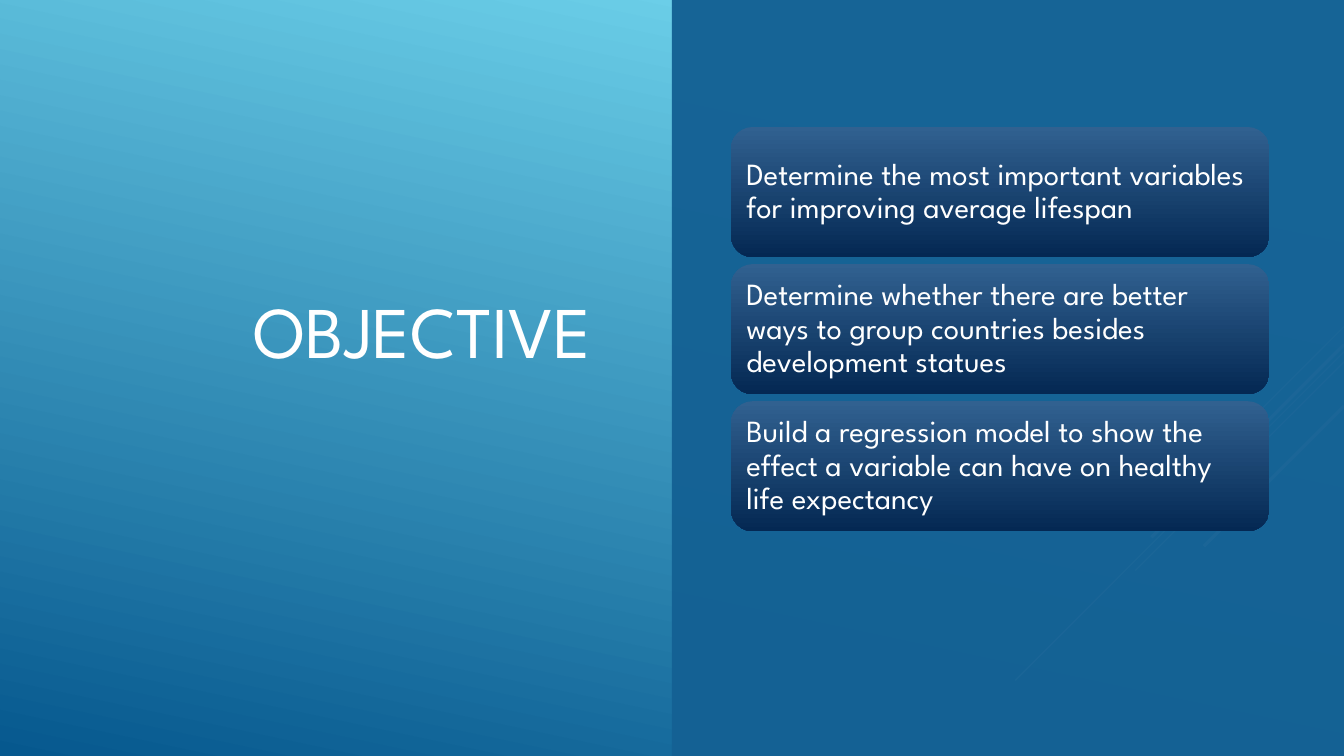
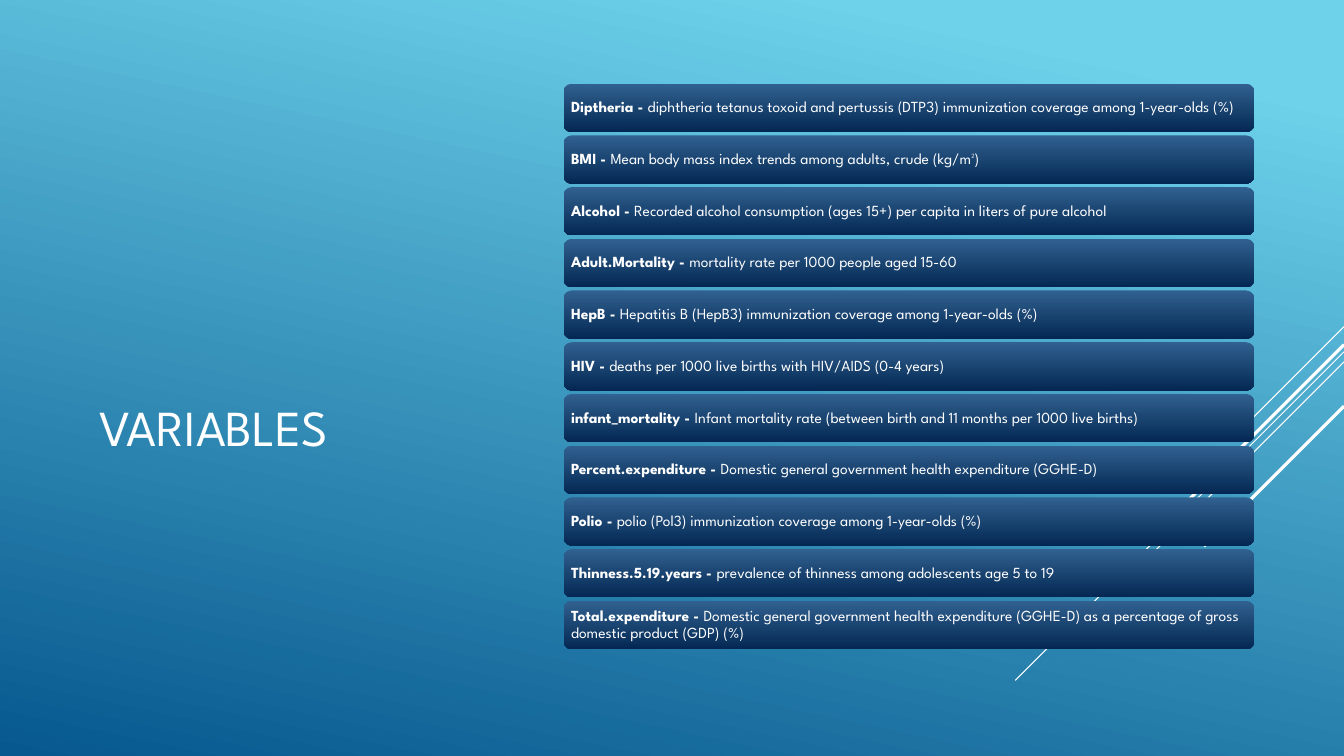
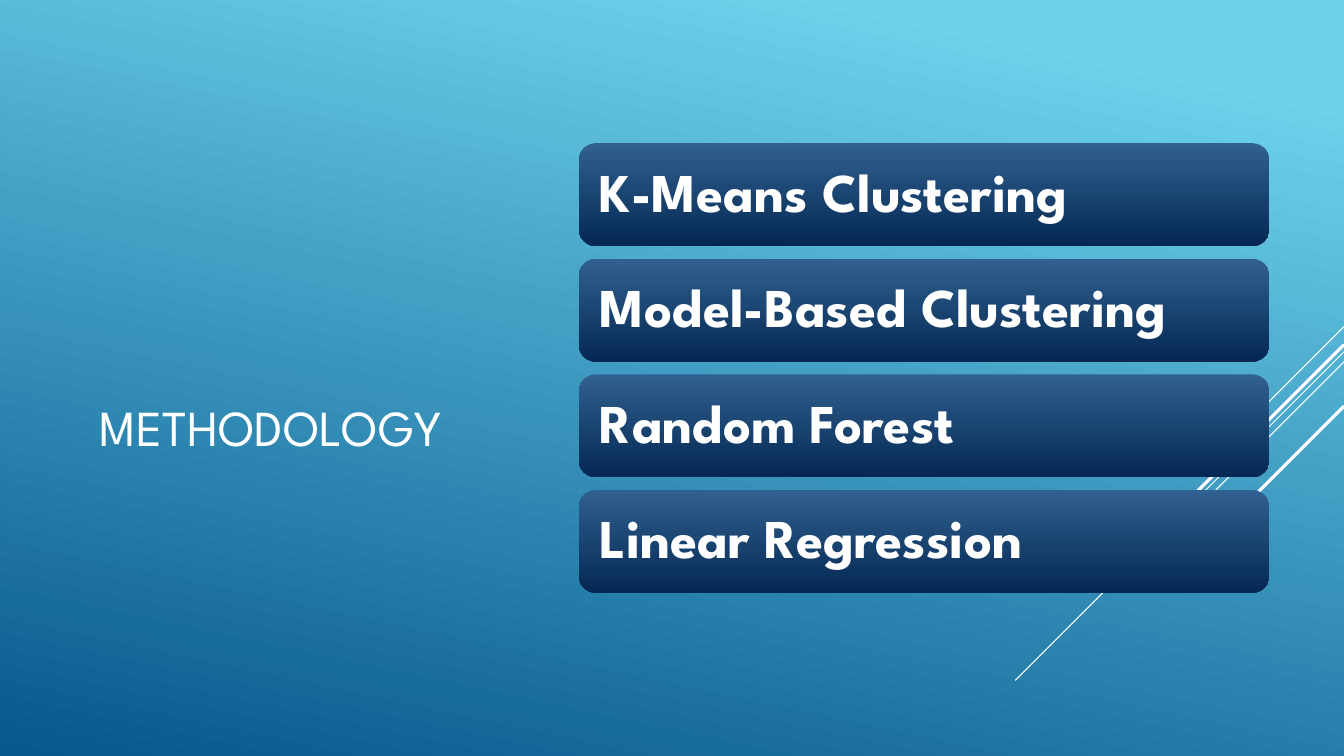
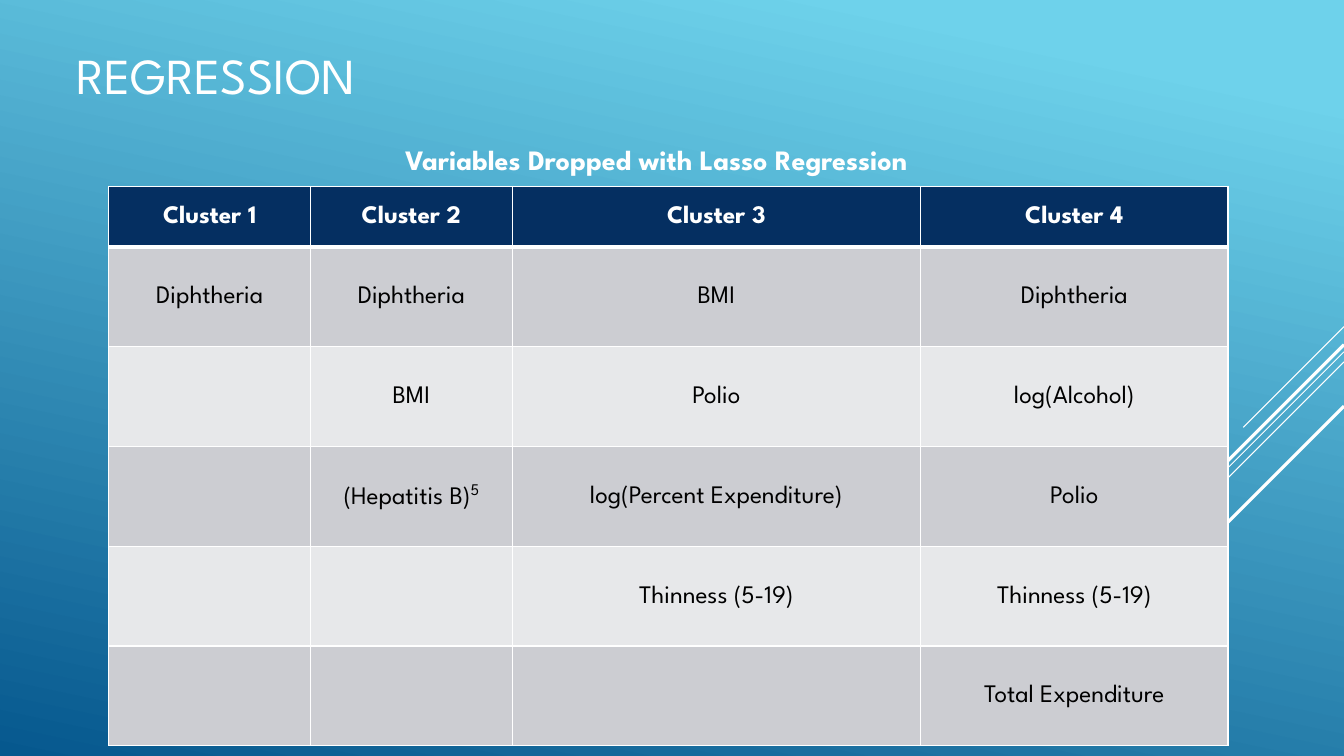
from lxml.etree import SubElement
from pptx import Presentation
from pptx.dml.color import RGBColor
from pptx.enum.shapes import MSO_CONNECTOR, MSO_SHAPE
from pptx.enum.text import MSO_ANCHOR, PP_ALIGN
from pptx.oxml.ns import qn
from pptx.util import Inches, Pt

FONT = "League Spartan"
WHITE, BLACK, NAVY = "FFFFFF", "000000", "052F61"
PANEL = "146194"
BACK = [(0.1, "6ED2EB"), (1, "06588E")]
CARD = [(0, "316190"), (1, "042853")]
BANDS = ["CCCDD2", "E7E8EA"]
WIDE, HIGH = 13.33, 7.5
# Diagonal rays from the right edge: top, run, weight
RAYS = [(3.24, 1, 0.75), (3.49, 3.26, 0.75), (3.59, 2.07, 0.75),
        (3.42, 1.91, 2.25), (4.03, 1.39, 2.25)]

GOALS = [
    "Determine the most important variables for improving average lifespan",
    "Determine whether there are better ways to group countries besides "
    "development statues",
    "Build a regression model to show the effect a variable can have on "
    "healthy life expectancy",
]
TERMS = [
    ("Diptheria", "diphtheria tetanus toxoid and pertussis (DTP3) "
     "immunization coverage among 1-year-olds (%)"),
    ("BMI", "Mean body mass index trends among adults, crude (kg/m²)"),
    ("Alcohol", "Recorded alcohol consumption (ages 15+) per capita in "
     "liters of pure alcohol"),
    ("Adult.Mortality", "mortality rate per 1000 people aged 15-60"),
    ("HepB", "Hepatitis B (HepB3) immunization coverage among "
     "1-year-olds (%)"),
    ("HIV", "deaths per 1000 live births with HIV/AIDS (0-4 years)"),
    ("infant_mortality", "Infant mortality rate (between birth and 11 months "
     "per 1000 live births)"),
    ("Percent.expenditure", "Domestic general government health expenditure "
     "(GGHE-D)"),
    ("Polio", "polio (Pol3) immunization coverage among 1-year-olds (%)"),
    ("Thinness.5.19.years", "prevalence of thinness among adolescents age "
     "5 to 19"),
    ("Total.expenditure", "Domestic general government health expenditure "
     "(GGHE-D) as a percentage of gross domestic product (GDP) (%)"),
]
STEPS = ["K-Means Clustering", "Model-Based Clustering", "Random Forest",
         "Linear Regression"]
DROPS = [
    ["Cluster 1", "Cluster 2", "Cluster 3", "Cluster 4"],
    ["Diphtheria", "Diphtheria", "BMI", "Diphtheria"],
    ["", "BMI", "Polio", "log(Alcohol)"],
    ["", "(Hepatitis B)^5", "log(Percent Expenditure)", "Polio"],
    ["", "", "Thinness (5-19)", "Thinness (5-19)"],
    ["", "", "", "Total Expenditure"],
]


def color(code):
    return RGBColor.from_string(code)


def place(box):
    return [Inches(v) for v in box]


def assign(item, values):
    for name, value in values.items():
        setattr(item, name, value)


def solid(fill, code):
    fill.solid()
    fill.fore_color.rgb = color(code)


def blend(fill, stops, angle):
    """Linear gradient; the angle runs clockwise."""
    fill.gradient()
    fill.gradient_angle = 360 - angle
    for stop, (spot, code) in zip(fill.gradient_stops, stops):
        stop.position = spot
        stop.color.rgb = color(code)


def add_run(para, text, size, bold=False, code=WHITE):
    run = para.add_run()
    run.text = text
    assign(run.font, {"name": FONT, "size": Pt(size), "bold": bold})
    run.font.color.rgb = color(code)
    return run


def add_text(slide, box, text, size, bold=False, anchor=MSO_ANCHOR.TOP,
             align=PP_ALIGN.LEFT):
    frame = slide.shapes.add_textbox(*place(box)).text_frame
    assign(frame, {"word_wrap": True, "vertical_anchor": anchor})
    para = frame.paragraphs[0]
    para.alignment = align
    add_run(para, text, size, bold)


def add_block(slide, kind, box):
    shape = slide.shapes.add_shape(kind, *place(box))
    shape.shadow.inherit = False
    shape.line.fill.background()
    return shape


def add_base(deck):
    """Slide with the shared background and rays."""
    slide = deck.slides.add_slide(deck.slide_layouts[6])
    blend(slide.background.fill, BACK, 102)
    for top, run, weight in RAYS:
        ends = place((WIDE, top, WIDE - run, top + run))
        ray = slide.shapes.add_connector(MSO_CONNECTOR.STRAIGHT, *ends)
        ray.line.color.rgb = color(WHITE)
        ray.line.width = Pt(weight)
        SubElement(ray._element.spPr, qn("a:effectLst"))
    return slide


def add_cards(slide, box, tall, inset, size, items):
    """Spread cards evenly down the box; each item is a list of runs."""
    left, top, width, height = box
    pitch = (height - tall) / (len(items) - 1)
    for i, runs in enumerate(items):
        spot = (left, top + i * pitch, width, tall)
        card = add_block(slide, MSO_SHAPE.ROUNDED_RECTANGLE, spot)
        blend(card.fill, CARD, 90)
        frame = card.text_frame
        assign(frame, {"word_wrap": True,
                       "vertical_anchor": MSO_ANCHOR.MIDDLE})
        assign(frame, {f"margin_{side}": Inches(inset)
                       for side in ("left", "top", "right", "bottom")})
        para = frame.paragraphs[0]
        assign(para, {"alignment": PP_ALIGN.LEFT, "line_spacing": 0.9})
        for text, bold in runs:
            add_run(para, text, size, bold)


def add_edges(cell, head, first):
    props = cell._tc.get_or_add_tcPr()
    heavy = {"lnB": head, "lnT": first}
    for tag in ("lnL", "lnR", "lnT", "lnB"):
        width = Pt(3 if heavy.get(tag) else 1)
        edge = SubElement(props, qn(f"a:{tag}"), w=str(width))
        paint = SubElement(edge, qn("a:solidFill"))
        SubElement(paint, qn("a:srgbClr"), val=WHITE)


def add_grid(slide, box, cols, rows, data):
    grid = slide.shapes.add_table(len(rows), len(cols), *place(box)).table
    assign(grid, {"first_row": False, "horz_banding": False})
    for col, width in zip(grid.columns, cols):
        col.width = Inches(width)
    for r, (row, height) in enumerate(zip(grid.rows, rows)):
        row.height = Inches(height)
        head = r == 0
        for cell, text in zip(row.cells, data[r]):
            add_edges(cell, head, r == 1)
            solid(cell.fill, NAVY if head else BANDS[(r - 1) % 2])
            assign(cell, {"vertical_anchor": MSO_ANCHOR.MIDDLE,
                          "margin_left": Inches(0.07),
                          "margin_right": Inches(0.07),
                          "margin_top": 0, "margin_bottom": 0})
            if not text:
                continue
            para = cell.text_frame.paragraphs[0]
            assign(para, {"alignment": PP_ALIGN.CENTER,
                          "line_spacing": 1.07})
            code = WHITE if head else BLACK
            body, _, power = text.partition("^")
            add_run(para, body, 18, head, code)
            if power:
                run = add_run(para, power, 20, head, code)
                run._r.get_or_add_rPr().set("baseline", "30000")


def make_goals(deck):
    slide = add_base(deck)
    add_text(slide, (0.7, 0.75, 5.27, 5.03), "OBJECTIVE", 52,
             anchor=MSO_ANCHOR.MIDDLE, align=PP_ALIGN.RIGHT)
    # Nearly opaque right half
    half = WIDE / 2
    panel = add_block(slide, MSO_SHAPE.RECTANGLE, (half, 0, half, HIGH))
    solid(panel.fill, PANEL)
    tint = panel._element.spPr.find(".//" + qn("a:srgbClr"))
    SubElement(tint, qn("a:alpha"), val="97000")
    add_cards(slide, (7.25, 1.26, 5.34, 4.01), 1.29, 0.09, 22,
              [[(goal, False)] for goal in GOALS])


def make_list(deck, title, *cards):
    slide = add_base(deck)
    add_text(slide, (0.89, 1.03, 4.44, 3.55), title, 36,
             anchor=MSO_ANCHOR.BOTTOM)
    add_cards(slide, *cards)


def make_table(deck):
    slide = add_base(deck)
    add_text(slide, (0.66, 0.23, 9.33, 1.02), "REGRESSION", 36,
             anchor=MSO_ANCHOR.MIDDLE)
    add_grid(slide, (1.08, 1.85, 11.1, 5.57), [2, 2, 4.05, 3.05],
             [0.6] + [0.99] * 5, DROPS)
    add_text(slide, (3.92, 1.36, 6.61, 0.44),
             "Variables Dropped with Lasso Regression", 20, bold=True)


def main():
    deck = Presentation()
    assign(deck, {"slide_width": Inches(WIDE), "slide_height": Inches(HIGH)})
    make_goals(deck)
    make_list(deck, "VARIABLES", (5.59, 0.83, 6.85, 5.61), 0.48, 0.05, 11,
              [[(f"{name} - ", True), (note, False)] for name, note in TERMS])
    make_list(deck, "METHODOLOGY", (5.74, 1.42, 6.85, 4.46), 1.02, 0.16, 39,
              [[(step, True)] for step in STEPS])
    make_table(deck)
    deck.save("out.pptx")


if __name__ == "__main__":
    main()
